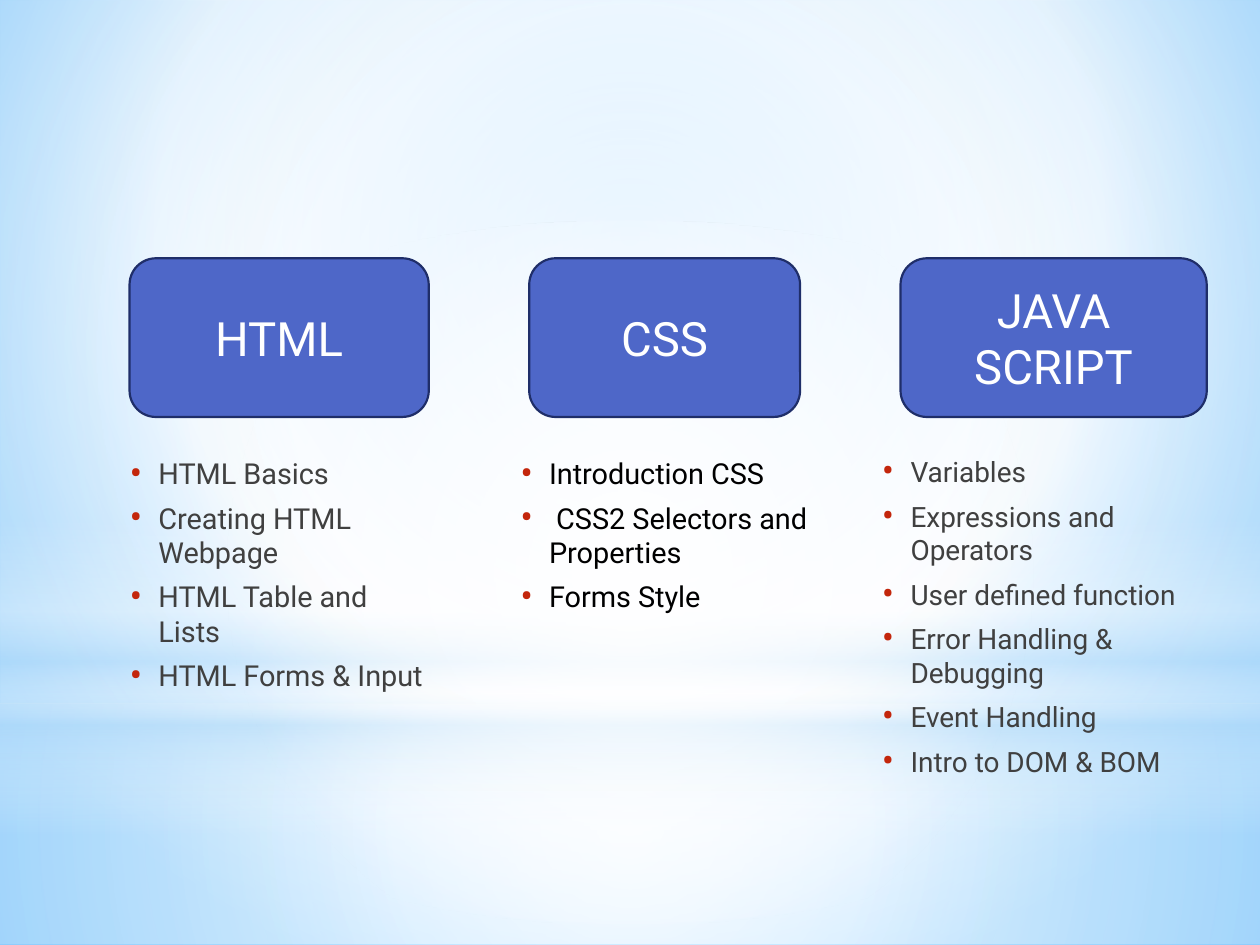
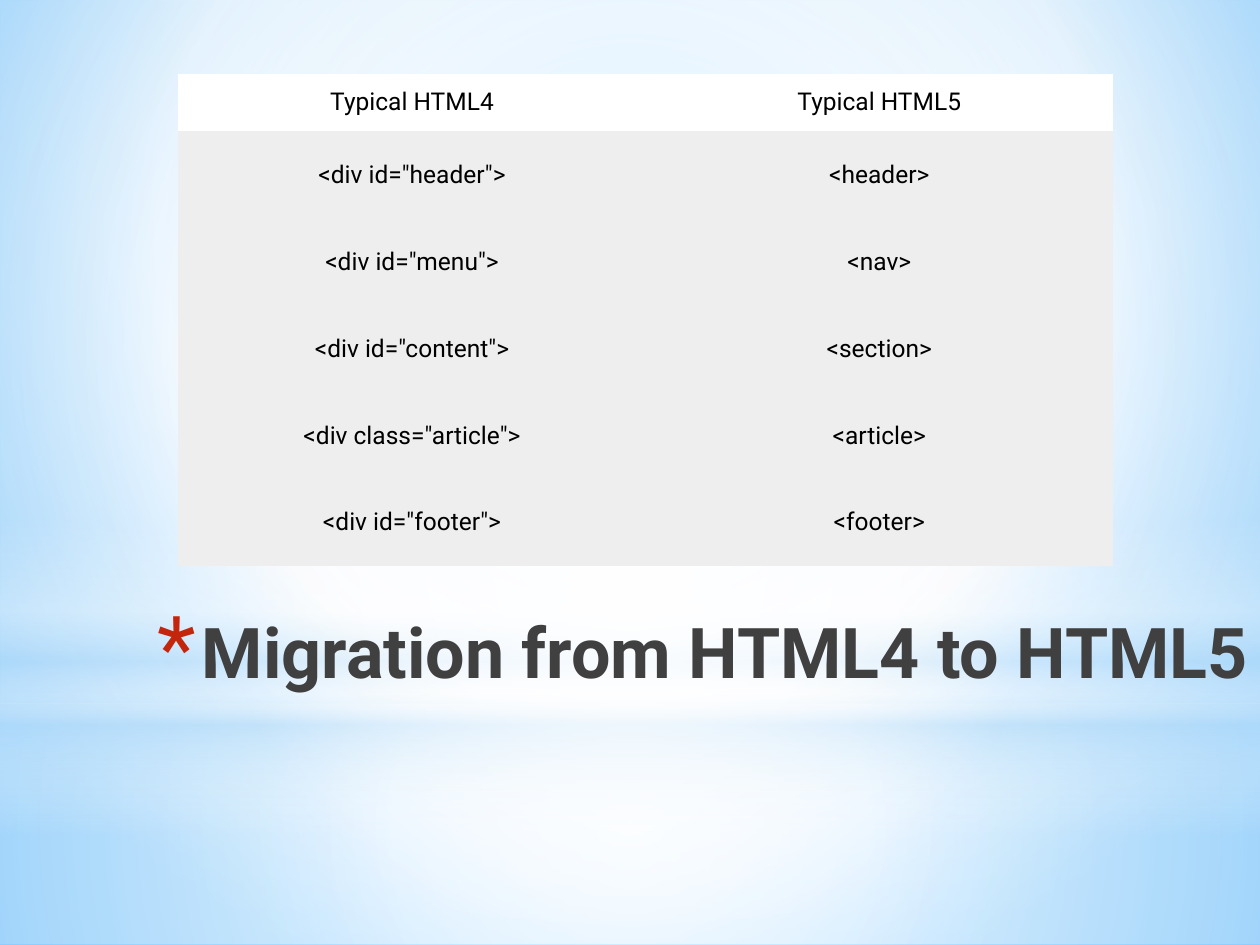
from lxml import etree
from pptx import Presentation
from pptx.dml.color import RGBColor
from pptx.enum import shapes, text
from pptx.oxml.ns import qn
from pptx.util import Pt

FONT = "Roboto"
WIDTH, HEIGHT = 720, 540
C = {
    "white": "FFFFFF", "black": "000000", "grey": "404040", "red": "C3260C",
    "card": "4E67C8", "card_line": "1F2E69", "row": "EEEEEE",
    "sky": "9ED5FF", "deep_sky": "5BB9FF", "mist": "B4DCFA",
}
CENTRE = (50, 50, 50, 50)
RECT, OVAL, ROUNDED = (shapes.MSO_SHAPE.RECTANGLE, shapes.MSO_SHAPE.OVAL,
                       shapes.MSO_SHAPE.ROUNDED_RECTANGLE)

# Light layers behind every slide: shape, top, height, stops, focus (None = vertical)
LAYERS = [
    (RECT, 402, 138, [(0, "white", 91), (37, "white", 76), (100, "mist", 79)], CENTRE),
    (RECT, 0, 402, [(0, "white", 89), (48, "white", 62), (100, "mist", 79)], CENTRE),
    (RECT, 297, 180, [(0, "white", 0), (29, "white", 30), (45, "mist", 40),
                      (55, "white", 26), (65, "mist", 60), (100, "white", 0)], None),
    (OVAL, 126, 402, [(0, "white", 100), (56, "white", 0)], CENTRE),
]


def rgb(name):
    return RGBColor.from_string(C[name])


def add_xml(parent, tag, **attrs):
    return etree.SubElement(parent, qn(tag), {k: str(v) for k, v in attrs.items()})


def set_gradient(fill, element, stops, focus):
    """Fill with (percent, colour, opacity) stops, around a focus or top to bottom."""
    fill.gradient()
    grad = element.find(".//" + qn("a:gradFill"))
    for child in list(grad):
        grad.remove(child)
    gs_list = add_xml(grad, "a:gsLst")
    for pos, colour, opacity in stops:
        gs = add_xml(gs_list, "a:gs", pos=pos * 1000)
        clr = add_xml(gs, "a:srgbClr", val=C[colour])
        if opacity < 100:
            add_xml(clr, "a:alpha", val=opacity * 1000)
    if focus:
        circle = add_xml(grad, "a:path", path="circle")
        add_xml(circle, "a:fillToRect", **{k: v * 1000 for k, v in zip("ltrb", focus)})
    else:
        add_xml(grad, "a:lin", ang=90 * 60000, scaled=0)


def set_bullet(p, char, indent, percent):
    pPr = p._p.get_or_add_pPr()
    pPr.set("marL", str(Pt(indent)))
    pPr.set("indent", str(-Pt(indent)))
    add_xml(add_xml(pPr, "a:buClr"), "a:srgbClr", val=C["red"])
    add_xml(pPr, "a:buSzPct", val=percent * 1000)
    add_xml(pPr, "a:buFont", typeface=FONT)
    add_xml(pPr, "a:buChar", char=char)


def write(tf, lines, size=14, colour="black", bold=False, align="LEFT",
          before=0, after=0, bullet=None):
    """Write one paragraph per line; bullet is (character, indent, percent)."""
    for i, line in enumerate(lines):
        p = tf.add_paragraph() if i else tf.paragraphs[0]
        p.alignment = getattr(text.PP_ALIGN, align)
        p.space_before, p.space_after = Pt(before), Pt(after)
        if bullet:
            set_bullet(p, *bullet)
        r = p.add_run()
        r.text = line
        r.font.name, r.font.size, r.font.bold = FONT, Pt(size), bold
        r.font.color.rgb = rgb(colour)


def set_margins(obj, x, y):
    obj.margin_left = obj.margin_right = Pt(x)
    obj.margin_top = obj.margin_bottom = Pt(y)


class Deck:
    def __init__(self):
        self.prs = Presentation()
        self.prs.slide_width, self.prs.slide_height = Pt(WIDTH), Pt(HEIGHT)
        self.s = None

    def slide(self):
        self.s = self.prs.slides.add_slide(self.prs.slide_layouts[6])
        set_gradient(self.s.background.fill, self.s._element,
                     [(0, "sky", 100), (60, "white", 100), (100, "deep_sky", 100)],
                     (20, 10, 20, 60))
        for kind, top, height, stops, focus in LAYERS:
            sp = self.shape(kind, 0, top, WIDTH, height)
            set_gradient(sp.fill, sp._element, stops, focus)
            sp.line.fill.background()

    def shape(self, kind, x, y, w, h):
        sp = self.s.shapes.add_shape(kind, Pt(x), Pt(y), Pt(w), Pt(h))
        sp.shadow.inherit = False
        return sp

    def card(self, label, x, y, w, h):
        sp = self.shape(ROUNDED, x, y, w, h)
        sp.fill.solid()
        sp.fill.fore_color.rgb = rgb("card")
        sp.line.color.rgb = rgb("card_line")
        sp.line.width = Pt(1.25)
        tf = sp.text_frame
        tf.word_wrap = True
        tf.vertical_anchor = text.MSO_ANCHOR.MIDDLE
        set_margins(tf, 5, 3)
        write(tf, [label], size=27, colour="white", align="CENTER")

    def text_box(self, lines, x, y, w, h, grow=False, **fmt):
        tf = self.s.shapes.add_textbox(Pt(x), Pt(y), Pt(w), Pt(h)).text_frame
        tf.word_wrap = True
        if grow:
            tf.auto_size = text.MSO_AUTO_SIZE.SHAPE_TO_FIT_TEXT
        write(tf, lines, **fmt)

    def bullets(self, lines, x, y, w, h, size, colour, after):
        self.text_box(lines, x, y, w, h, grow=True, size=size, colour=colour,
                      before=0.2 * size, after=after, bullet=("•", 16.5, 130))

    def title(self, line):
        self.text_box([line], 24, 344, 696, 90, size=40, colour="grey", bold=True,
                      align="RIGHT", bullet=("*", 25.2, 128))

    def table(self, rows, x, y, w, head_height, row_height):
        height = head_height + row_height * (len(rows) - 1)
        frame = self.s.shapes.add_table(len(rows), len(rows[0]),
                                        Pt(x), Pt(y), Pt(w), Pt(height))
        tbl = frame.table
        tbl.first_row = tbl.horz_banding = False
        # Plain style: no grid, no banding
        style = frame._element.find(".//" + qn("a:tableStyleId"))
        style.text = "{2D5ABB26-0587-4C30-8999-92F81FD0307C}"
        for i, row in enumerate(rows):
            tbl.rows[i].height = Pt(row_height if i else head_height)
            for j, value in enumerate(row):
                cell = tbl.cell(i, j)
                cell.fill.solid()
                cell.fill.fore_color.rgb = rgb("row" if i else "white")
                cell.vertical_anchor = text.MSO_ANCHOR.MIDDLE
                margin = 8.5 if i else 3
                set_margins(cell, margin, margin)
                write(cell.text_frame, [value], align="CENTER")


def main():
    d = Deck()

    # Course topics
    d.slide()
    for label, x, w in [("HTML", 74, 171), ("CSS", 302.4, 154.8),
                        ("JAVA SCRIPT", 514.6, 175)]:
        d.card(label, x, 147.6, w, 90.7)
    d.bullets(["HTML Basics", "Creating HTML Webpage", "HTML Table and Lists",
               "HTML Forms & Input"], 67, 257, 184.3, 163.4, 16.5, "grey", 2.2)
    d.bullets(["Introduction CSS", " CSS2 Selectors and Properties", "Forms Style"],
              290.2, 257, 178.6, 144, 16.5, "black", 2.2)
    d.bullets(["Variables", "Expressions and Operators", "User defined function",
               "Error Handling & Debugging", "Event Handling", "Intro to DOM & BOM"],
              496.8, 256.3, 211, 196.6, 16, "grey", 3)

    # Migration table
    d.slide()
    d.title("Migration from HTML4 to HTML5")
    d.table([("Typical HTML4", "Typical HTML5"),
             ('<div id="header">', "<header>"),
             ('<div id="menu">', "<nav>"),
             ('<div id="content">', "<section>"),
             ('<div class="article">', "<article>"),
             ('<div id="footer">', "<footer>")], 102, 42, 534, 33, 49.7)

    d.prs.save("out.pptx")


if __name__ == "__main__":
    main()
